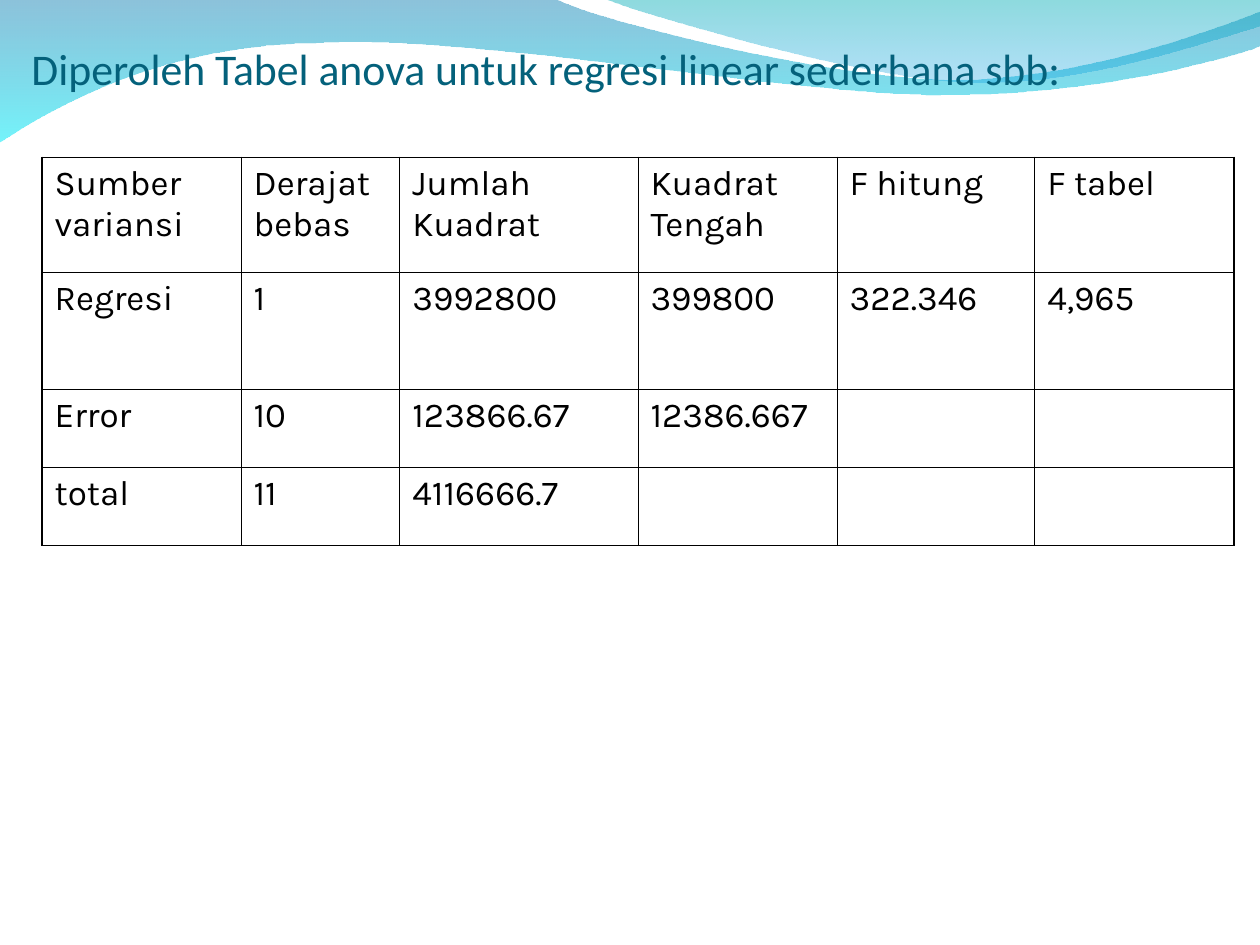
import pptx
import pptx.util
import pptx.dml.color
import pptx.enum.text
import pptx.oxml.ns
import lxml.etree

Inches, Pt = pptx.util.Inches, pptx.util.Pt
qn = pptx.oxml.ns.qn

HUES = {"title": "04617B", "text": "000000", "rule": "000000",
        "deep": "0079AF", "aqua": "00EBF8", "teal": "00ADB6", "sky": "009BE5"}
THIN, THICK = 0.45, 1.08

# Each segment holds an end point, or two handles and an end point.
BAND = [[(0, -0.01)], [(4.4, -0.01)],
        [(4.76, 0.17), (6.64, 0.63), (7.58, 0.63)],
        [(8.53, 0.63), (9.58, 0.26), (10, 0.09)], [(10.01, 0.36)],
        [(9.83, 0.44), (8.7, 0.76), (7.46, 0.75)],
        [(6.22, 0.75), (3.82, 0.28), (2.57, 0.34)],
        [(1.29, 0.35), (0.46, 0.83), (-0.01, 1.13)]]
CREST = [[(4.79, -0.01)],
         [(5.09, 0.11), (6.82, 0.62), (7.69, 0.65)],
         [(8.56, 0.69), (9.61, 0.32), (10, 0.21)], [(10, 0)]]

COLS = [1.58, 1.26, 1.89, 1.58, 1.57, 1.58]
ROWS = [0.91, 0.93, 0.62, 0.62]
ANOVA = [
    ["Sumber variansi", "Derajat bebas", "Jumlah Kuadrat",
     "Kuadrat Tengah", "F hitung", "F tabel"],
    ["Regresi", "1", "3992800", "399800", "322.346", "4,965"],
    ["Error", "10", "123866.67", "12386.667", "", ""],
    ["total", "11", "4116666.7", "", "", ""],
]


def bend(shape, parts):
    """Merge the three lines of each curved segment into one cubic curve."""
    lines = iter(list(shape.element.spPr.iter(qn("a:lnTo"))))
    for part in parts[1:]:
        group = [next(lines) for _ in part]
        if len(group) == 3:
            curve = lxml.etree.Element(qn("a:cubicBezTo"))
            group[0].addprevious(curve)
            for line in group:
                curve.append(line[0])
                line.getparent().remove(line)


class Deck:
    def __init__(self, slide):
        self.slide = slide
        self.hues = HUES

    def color(self, name):
        return pptx.dml.color.RGBColor.from_string(self.hues[name])

    def font(self, para, face, size, hue):
        para.font.name = face
        para.font.size = Pt(size)
        para.font.color.rgb = self.color(hue)

    def wave(self, parts, stops):
        """Draw a closed wave; stops are (colour, opacity percent), top first."""
        first, *rest = [(Inches(x), Inches(y)) for part in parts for x, y in part]
        pen = self.slide.shapes.build_freeform(*first)
        pen.add_line_segments(rest, close=True)
        shape = pen.convert_to_shape()
        bend(shape, parts)
        shape.shadow.inherit = False
        shape.line.fill.background()
        shape.fill.gradient()
        shape.fill.gradient_angle = 270
        for stop, (hue, _) in zip(shape.fill.gradient_stops, stops):
            stop.color.rgb = self.color(hue)
        tints = shape.element.spPr.iter(qn("a:srgbClr"))
        for tint, (_, alpha) in zip(tints, stops):
            lxml.etree.SubElement(tint, qn("a:alpha"), val=str(alpha * 1000))

    def title(self, text, left, top, width, height):
        box = self.slide.shapes.add_textbox(
            Inches(left), Inches(top), Inches(width), Inches(height))
        frame = box.text_frame
        frame.word_wrap = True
        frame.vertical_anchor = pptx.enum.text.MSO_ANCHOR.BOTTOM
        frame.margin_left = frame.margin_right = frame.margin_bottom = 0
        frame.margin_top = Inches(0.05)
        frame.text = text
        self.font(frame.paragraphs[0], "Calibri", 25, "title")

    def edge(self, cell, side, width):
        props = cell._tc.get_or_add_tcPr()
        line = lxml.etree.SubElement(props, qn("a:ln" + side), w=str(int(Pt(width))))
        fill = lxml.etree.SubElement(line, qn("a:solidFill"))
        lxml.etree.SubElement(fill, qn("a:srgbClr"), val=self.hues["rule"])

    def table(self, data, left, top, cols, rows):
        grid = self.slide.shapes.add_table(
            len(rows), len(cols), Inches(left), Inches(top),
            Inches(sum(cols)), Inches(sum(rows))).table
        grid.first_row = grid.horz_banding = False
        for col, width in zip(grid.columns, cols):
            col.width = Inches(width)
        for row, height in zip(grid.rows, rows):
            row.height = Inches(height)
        for r, line in enumerate(data):
            for c, text in enumerate(line):
                cell = grid.cell(r, c)
                outer = {"L": c == 0, "R": c == len(cols) - 1,
                         "T": r == 0, "B": r == len(rows) - 1}
                for side, rim in outer.items():
                    self.edge(cell, side, THICK if rim else THIN)
                cell.fill.background()
                if text:
                    cell.text = text
                    self.font(cell.text_frame.paragraphs[0], "Karla", 20, "text")


def main():
    show = pptx.Presentation()
    show.slide_width, show.slide_height = Inches(10), Inches(7.5)
    deck = Deck(show.slides.add_slide(show.slide_layouts[6]))
    deck.wave(BAND, [("deep", 45), ("aqua", 55)])
    deck.wave(CREST, [("teal", 45), ("sky", 30)])
    deck.title("Diperoleh Tabel anova untuk regresi linear sederhana sbb:",
               0.25, 0.23, 9.53, 0.52)
    deck.table(ANOVA, 1 / 3, 1.25, COLS, ROWS)
    show.save("out.pptx")


if __name__ == "__main__":
    main()
